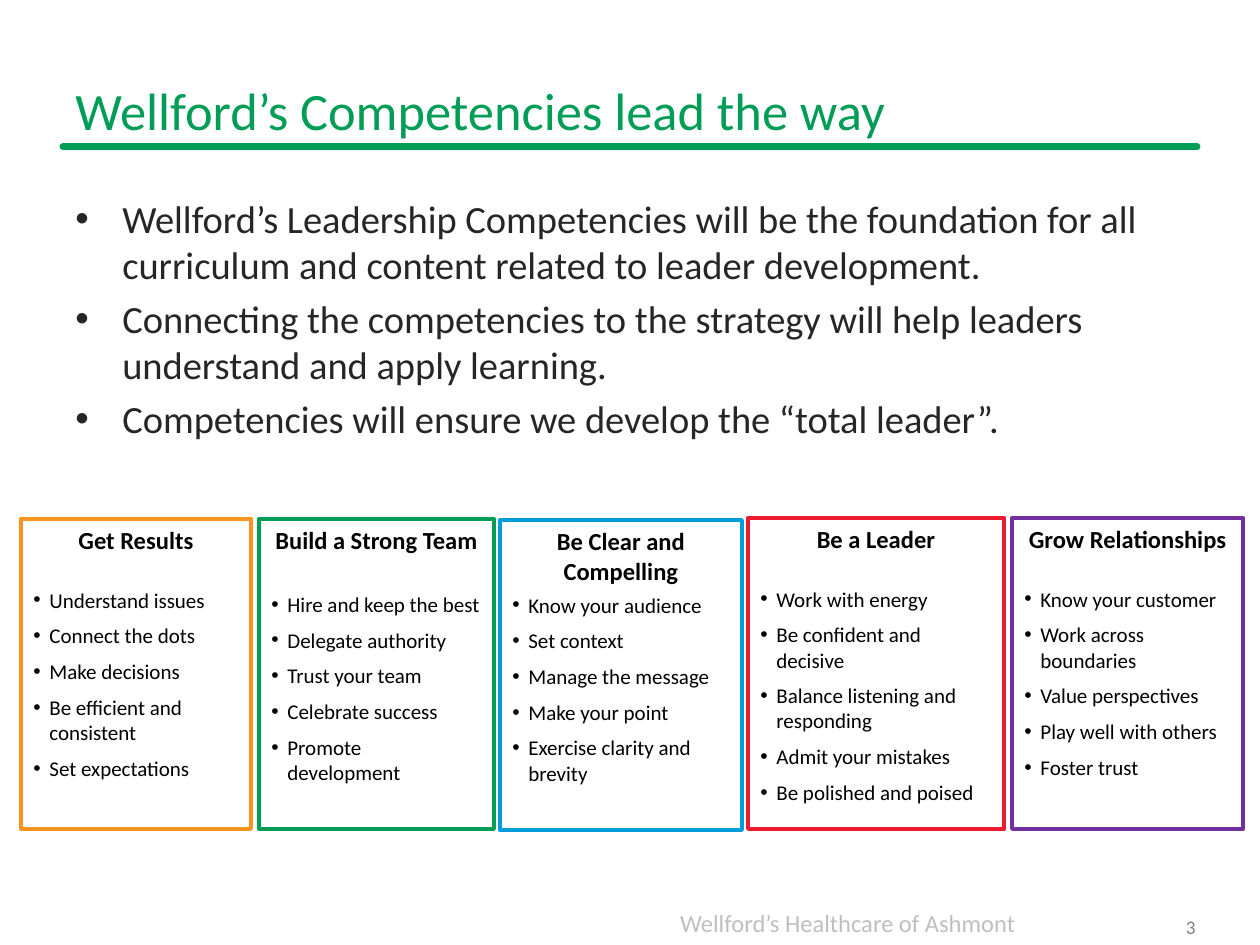
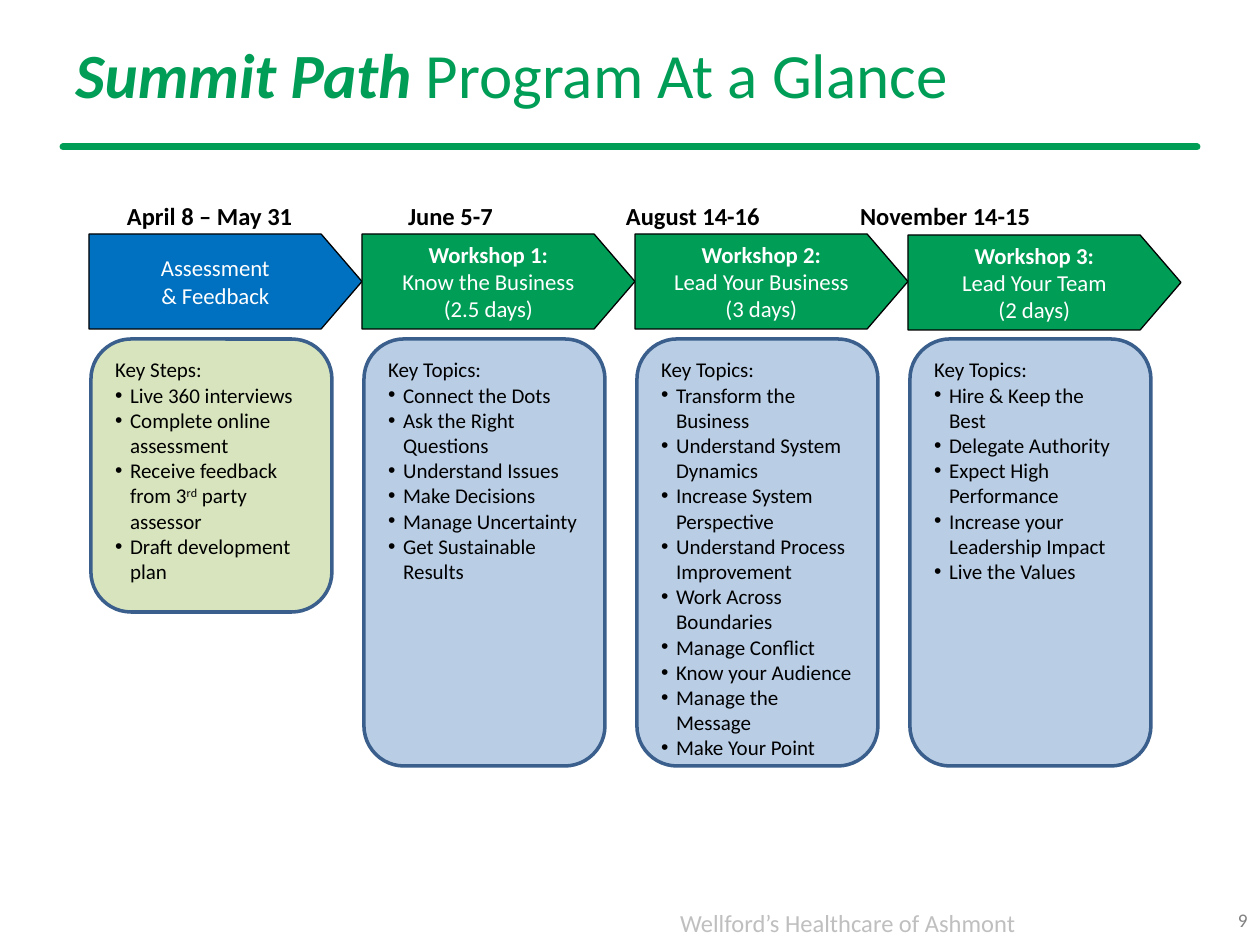
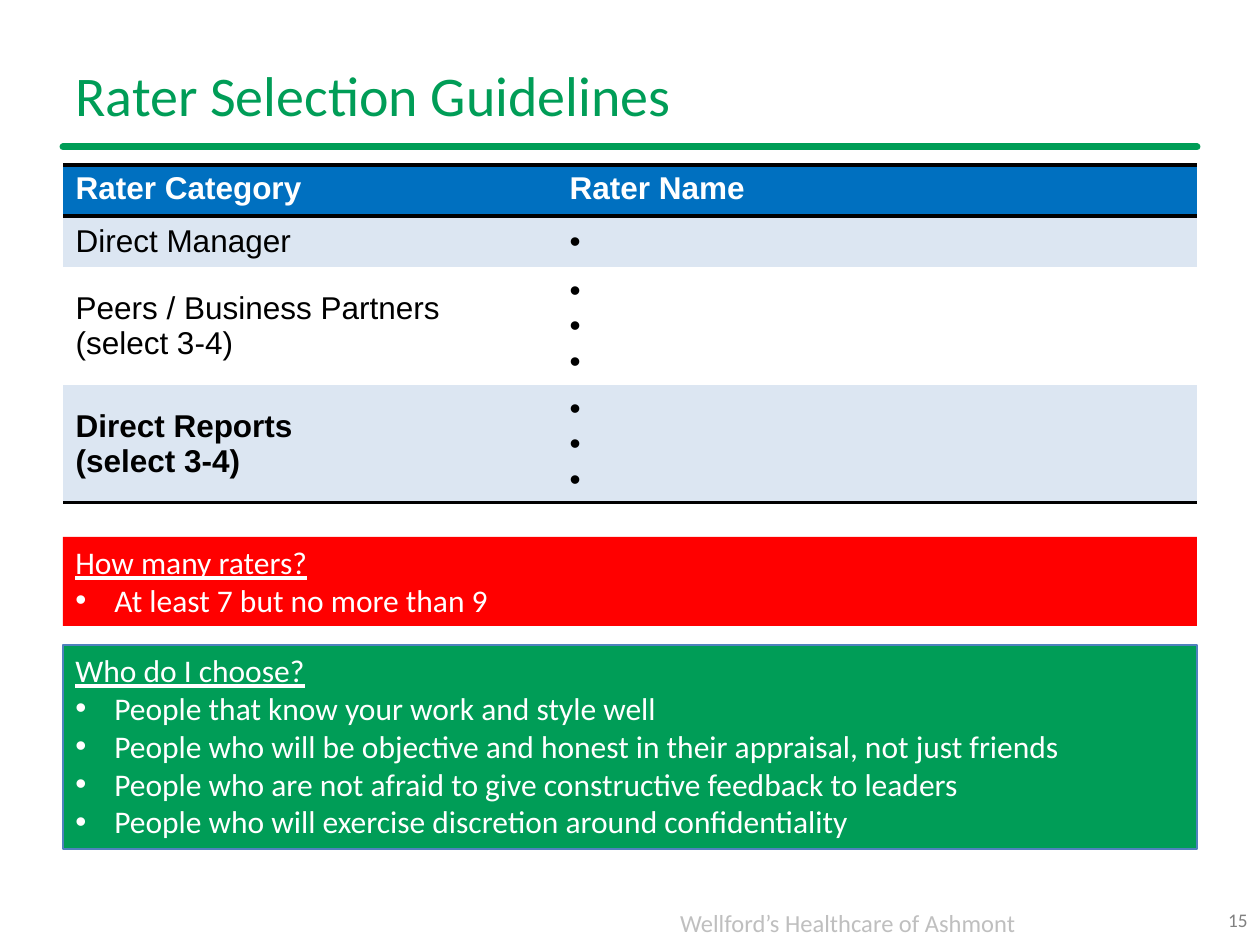
"""Build three slides about a leadership development programme."""
from dataclasses import dataclass

from lxml import etree
from pptx import Presentation
from pptx.dml.color import RGBColor
from pptx.enum.shapes import MSO_CONNECTOR, MSO_SHAPE
from pptx.enum.text import MSO_ANCHOR, PP_ALIGN
from pptx.oxml import parse_xml
from pptx.oxml.ns import nsdecls, qn
from pptx.util import Emu, Pt

LEFT, CENTER, RIGHT = PP_ALIGN.LEFT, PP_ALIGN.CENTER, PP_ALIGN.RIGHT
TOP, MIDDLE = MSO_ANCHOR.TOP, MSO_ANCHOR.MIDDLE
RECTANGLE, ROUNDED = MSO_SHAPE.RECTANGLE, MSO_SHAPE.ROUNDED_RECTANGLE
PENTAGON = MSO_SHAPE.PENTAGON
STRAIGHT = MSO_CONNECTOR.STRAIGHT
PIXELS_PER_INCH = 126
FOOTER = "Wellford’s Healthcare of Ashmont"


@dataclass(frozen=True)
class Theme:
    """Colours, fonts and type sizes of the deck."""

    green: str = "009D57"
    blue: str = "0070C0"
    red: str = "FF0000"
    black: str = "000000"
    white: str = "FFFFFF"
    ink: str = "262626"
    footer_grey: str = "BFBFBF"
    number_grey: str = "808080"
    get_results: str = "F7941E"
    be_clear: str = "009DDC"
    be_leader: str = "ED1B2F"
    relationships: str = "7030A0"
    topic_fill: str = "B9CDE5"
    step_fill: str = "D7E4BD"
    card_line: str = "3A5F8C"
    callout_line: str = "4F81BD"
    band: str = "DCE6F2"
    font: str = "Calibri"
    table_font: str = "Arial"
    program_title: int = 36
    rater_title: int = 32
    competency_title: int = 30
    body: int = 22
    large: int = 18
    label: int = 14
    arrow: int = 13
    small: int = 12
    number: int = 11


THEME = Theme()

COMPETENCIES = [
    ("Get Results", THEME.get_results, (21, 519, 230, 310), 18.6,
     ["Understand issues", "Connect the dots", "Make decisions",
      "Be efficient and consistent", "Set expectations"]),
    ("Build a Strong Team", THEME.green, (259, 519, 235, 310), 21,
     ["Hire and keep the best", "Delegate authority", "Trust your team",
      "Celebrate success", [("Promote", {}), ("\v", {}), ("development", {})]]),
    ("Be Clear and Compelling", THEME.be_clear, (500, 520, 242, 310), 4,
     ["Know your audience", "Set context", "Manage the message",
      "Make your point", "Exercise clarity and brevity"]),
    ("Be a Leader", THEME.be_leader, (748, 518, 256, 311), 18.6,
     ["Work with energy", "Be confident and decisive",
      "Balance listening and responding", "Admit your mistakes",
      "Be polished and poised"]),
    ("Grow Relationships", THEME.relationships, (1012, 518, 231, 311), 18.6,
     ["Know your customer", "Work across boundaries", "Value perspectives",
      "Play well with others", "Foster trust"]),
]

STAGES = [
    ("April 8 – May 31", 127, None, ["Assessment", "& Feedback"], "Key Steps:",
     ["Live 360 interviews", "Complete online assessment",
      [("Receive feedback from 3", {}), ("rd", {"raised": True}),
       (" party assessor", {})],
      "Draft development plan"]),
    ("June 5-7", 408, "Workshop 1:", ["Know the Business", "(2.5 days)"],
     "Key Topics:",
     ["Connect the Dots", "Ask the Right Questions", "Understand Issues",
      "Make Decisions", "Manage Uncertainty", "Get Sustainable Results"]),
    ("August 14-16", 626, "Workshop 2:", ["Lead Your Business", "(3 days)"],
     "Key Topics:",
     ["Transform the Business", "Understand System Dynamics",
      "Increase System Perspective", "Understand Process Improvement",
      "Work Across Boundaries", "Manage Conflict", "Know your Audience",
      "Manage the Message", "Make Your Point"]),
    ("November 14-15", 860, "Workshop 3:", ["Lead Your Team", "(2 days)"],
     "Key Topics:",
     [[("Hire & Keep the", {}), ("\v", {}), ("Best", {})],
      "Delegate Authority", "Expect High Performance",
      "Increase your Leadership Impact", "Live the Values"]),
]

RATERS = [
    (["Direct Manager"], 1, False),
    (["Peers / Business Partners", "(select 3-4)"], 3, False),
    (["Direct Reports", "(select 3-4)"], 3, True),
]


def px(length):
    """Turn whole pixels into EMU."""
    return Emu(round(length * 914400 / PIXELS_PER_INCH))


def rgb(value):
    """Turn a hex string into a colour."""
    return RGBColor.from_string(value)


def add_span(para, text, *, size, color, font=THEME.font, bold=False,
             italic=False, underline=False, raised=False):
    """Add one formatted run, or a line break."""
    if text == "\v":
        para.add_line_break()
        return
    span = para.add_run()
    span.text = text
    span.font.size = Pt(size)
    span.font.name = font
    span.font.bold = bold
    span.font.italic = italic
    span.font.underline = underline
    span.font.color.rgb = rgb(color)
    if raised:
        span.font._element.set("baseline", "30000")


def add_para(frame, content, *, align=LEFT, hang=0, before=0, after=0, **style):
    """Add a paragraph of plain text or spans, bulleted when hang is given."""
    para = frame.add_paragraph() if frame.text else frame.paragraphs[0]
    para.alignment = align
    para.space_before, para.space_after = Pt(before), Pt(after)
    if hang:
        properties = para._p.get_or_add_pPr()
        properties.set("marL", str(px(hang)))
        properties.set("indent", str(-px(hang)))
        etree.SubElement(properties, qn("a:buFont")).set("typeface", "Arial")
        etree.SubElement(properties, qn("a:buChar")).set("char", "•")
    spans = [(content, {})] if isinstance(content, str) else content
    for text, changes in spans:
        add_span(para, text, **{**style, **changes})


def add_text(page, place, content, *, anchor=TOP, inset=True, **style):
    """Add a text box with one paragraph and return its frame."""
    frame = page.shapes.add_textbox(*map(px, place)).text_frame
    frame.word_wrap = True
    frame.vertical_anchor = anchor
    if not inset:
        frame.margin_left = frame.margin_right = 0
        frame.margin_top = frame.margin_bottom = 0
    add_para(frame, content, **style)
    return frame


def add_box(page, kind, place, *, fill, line=None, width=0.75, anchor=TOP):
    """Add a filled preset shape."""
    box = page.shapes.add_shape(kind, *map(px, place))
    box.shadow.inherit = False
    box.fill.solid()
    box.fill.fore_color.rgb = rgb(fill)
    if line:
        box.line.color.rgb = rgb(line)
        box.line.width = Pt(width)
    else:
        box.line.fill.background()
    box.text_frame.word_wrap = True
    box.text_frame.vertical_anchor = anchor
    return box


def add_title_rule(page):
    """Draw the round-ended green line below the title."""
    rule = page.shapes.add_connector(STRAIGHT, px(63), px(147), px(1197), px(147))
    rule.line.color.rgb = rgb(THEME.green)
    rule.line.width = Pt(4)
    rule.line._get_or_add_ln().set("cap", "rnd")
    etree.SubElement(rule._element.spPr, qn("a:effectLst"))


def add_page(deck, title, title_top, title_height, size, number, number_place):
    """Add a slide with its title, rule, footer and page number."""
    page = deck.slides.add_slide(deck.slide_layouts[6])
    add_title_rule(page)
    add_text(page, (136, 902, 892, 43), FOOTER, align=RIGHT,
             size=THEME.label, color=THEME.footer_grey)
    add_text(page, (63, title_top, 1134, title_height), title, anchor=MIDDLE,
             size=size, color=THEME.green)
    add_text(page, (*number_place, 53, 50), number, anchor=MIDDLE, align=RIGHT,
             size=THEME.number, color=THEME.number_grey)
    return page


def add_competency(page, heading, color, place, gap, points):
    """Add an outlined box with a heading and its points."""
    frame = add_box(page, RECTANGLE, place, fill=THEME.white, line=color,
                    width=2.25).text_frame
    add_para(frame, heading, align=CENTER, size=THEME.label, color=THEME.black,
             bold=True)
    for index, point in enumerate(points):
        add_para(frame, point, hang=16, before=4 if index else gap, after=2,
                 size=THEME.small, color=THEME.black)


def add_stage(page, index, date, date_left, workshop, lines, heading, points):
    """Add one programme stage: date, arrow and card of points."""
    left = 89 + 273 * index
    add_text(page, (date_left, 201, 220, 30), date, inset=False,
             size=THEME.label, color=THEME.black, bold=True)
    arrow = add_box(page, PENTAGON, (left, 235 if index == 3 else 234, 273, 95),
                    fill=THEME.green if workshop else THEME.blue,
                    line=THEME.black, anchor=MIDDLE)
    arrow.adjustments[0] = 0.43
    arrow.text_frame.word_wrap = False
    style = {"align": CENTER, "size": THEME.arrow, "color": THEME.white}
    if workshop:
        add_para(arrow.text_frame, workshop, bold=True, **style)
    for line in lines:
        add_para(arrow.text_frame, line, **style)
    card = add_box(page, ROUNDED, (left + 2, 339, 241, 427 if workshop else 273),
                   fill=THEME.topic_fill if workshop else THEME.step_fill,
                   line=THEME.card_line, width=2)
    style = {"size": THEME.small, "color": THEME.black}
    add_para(card.text_frame, heading, **style)
    for point in points:
        add_para(card.text_frame, point, hang=15, **style)


def set_borders(cell, top, bottom):
    """Give a cell black top and bottom lines where asked, and no others."""
    properties = cell._tc.get_or_add_tcPr()
    sides = [("lnL", False), ("lnR", False), ("lnT", top), ("lnB", bottom)]
    for position, (side, shown) in enumerate(sides):
        paint = (f'<a:solidFill><a:srgbClr val="{THEME.black}"/></a:solidFill>'
                 if shown else "<a:noFill/>")
        width = Pt(2) if shown else 0
        border = parse_xml(f'<a:{side} {nsdecls("a")} w="{width}">{paint}</a:{side}>')
        properties.insert(position, border)


def add_rater_table(page):
    """Add the table of rater categories and names."""
    heights = [51, 51, 118, 118]
    table = page.shapes.add_table(4, 2, px(63), px(165), px(1134),
                                  px(sum(heights))).table
    table.first_row = table.horz_banding = False
    for column, width in zip(table.columns, (494, 640)):
        column.width = px(width)
    fills = [THEME.blue, THEME.band, THEME.white, THEME.band]
    ruled_edges = {0, 1, 4}
    for index, (height, fill) in enumerate(zip(heights, fills)):
        table.rows[index].height = px(height)
        for cell in table.rows[index].cells:
            cell.fill.solid()
            cell.fill.fore_color.rgb = rgb(fill)
            cell.vertical_anchor = MIDDLE if index else TOP
            if index:
                cell.margin_top = cell.margin_bottom = px(2)
            set_borders(cell, index in ruled_edges, index + 1 in ruled_edges)
    style = {"size": THEME.large, "font": THEME.table_font}
    for column, heading in enumerate(("Rater Category", "Rater Name")):
        add_para(table.cell(0, column).text_frame, heading, bold=True,
                 color=THEME.white, **style)
    for row, (lines, count, bold) in enumerate(RATERS, start=1):
        for line in lines:
            add_para(table.cell(row, 0).text_frame, line, bold=bold,
                     color=THEME.black, **style)
        for _ in range(count):
            add_para(table.cell(row, 1).text_frame, " ", hang=39,
                     color=THEME.black, **style)


def add_callout(page, top, height, fill, line, question, answers):
    """Add a coloured band with a question and its answers."""
    frame = add_box(page, RECTANGLE, (63, top, 1134, height), fill=fill,
                    line=line).text_frame
    style = {"size": THEME.large, "color": THEME.white}
    add_para(frame, question, underline=True, **style)
    for answer in answers:
        add_para(frame, answer, hang=39, **style)


def build_competencies(deck):
    """Build the slide on leadership competencies."""
    page = add_page(deck, "Wellford’s Competencies lead the way", 42, 136,
                    THEME.competency_title, "3", (1155, 902))
    style = {"hang": 47, "before": 4.4, "size": THEME.body, "color": THEME.ink}
    frame = add_text(
        page, (63, 189, 1134, 273),
        "Wellford’s Leadership Competencies will be the foundation for all "
        "curriculum and content related to leader development.", **style)
    add_para(frame, "Connecting the competencies to the strategy will help "
             "leaders understand and apply learning.", **style)
    add_para(frame, "Competencies will ensure we develop the “total leader”.",
             **style)
    for competency in COMPETENCIES:
        add_competency(page, *competency)


def build_program(deck):
    """Build the slide that shows the programme stages."""
    title = [("Summit Path ", {"bold": True, "italic": True}),
             ("Program At a Glance", {})]
    page = add_page(deck, title, 21, 105, THEME.program_title, "9", (1207, 895))
    for index, stage in enumerate(STAGES):
        add_stage(page, index, *stage)


def build_raters(deck):
    """Build the slide on choosing raters."""
    page = add_page(deck, "Rater Selection Guidelines", 42, 105,
                    THEME.rater_title, "15", (1207, 895))
    add_rater_table(page)
    add_callout(page, 645, 204, THEME.green, THEME.callout_line,
                "Who do I choose?",
                ["People that know your work and style well",
                 "People who will be objective and honest in their appraisal, "
                 "not just friends",
                 "People who are not afraid to give constructive feedback to "
                 "leaders",
                 "People who will exercise discretion around confidentiality"])
    add_callout(page, 537, 89, THEME.red, None, "How many raters?",
                ["At least 7 but no more than 9"])


def main():
    """Build and save the deck."""
    deck = Presentation()
    deck.slide_width, deck.slide_height = px(1260), px(945)
    build_competencies(deck)
    build_program(deck)
    build_raters(deck)
    deck.save("out.pptx")


main()
